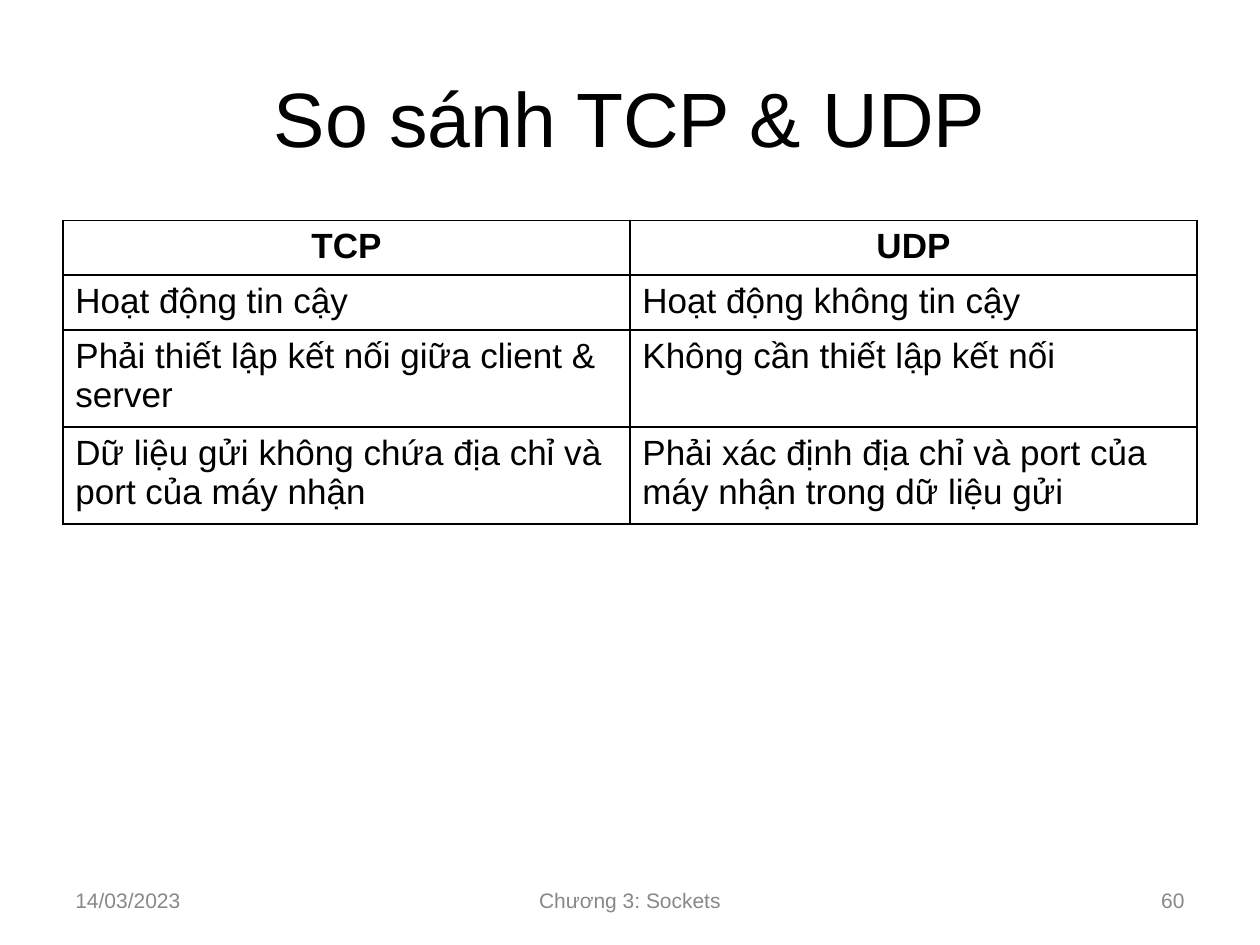
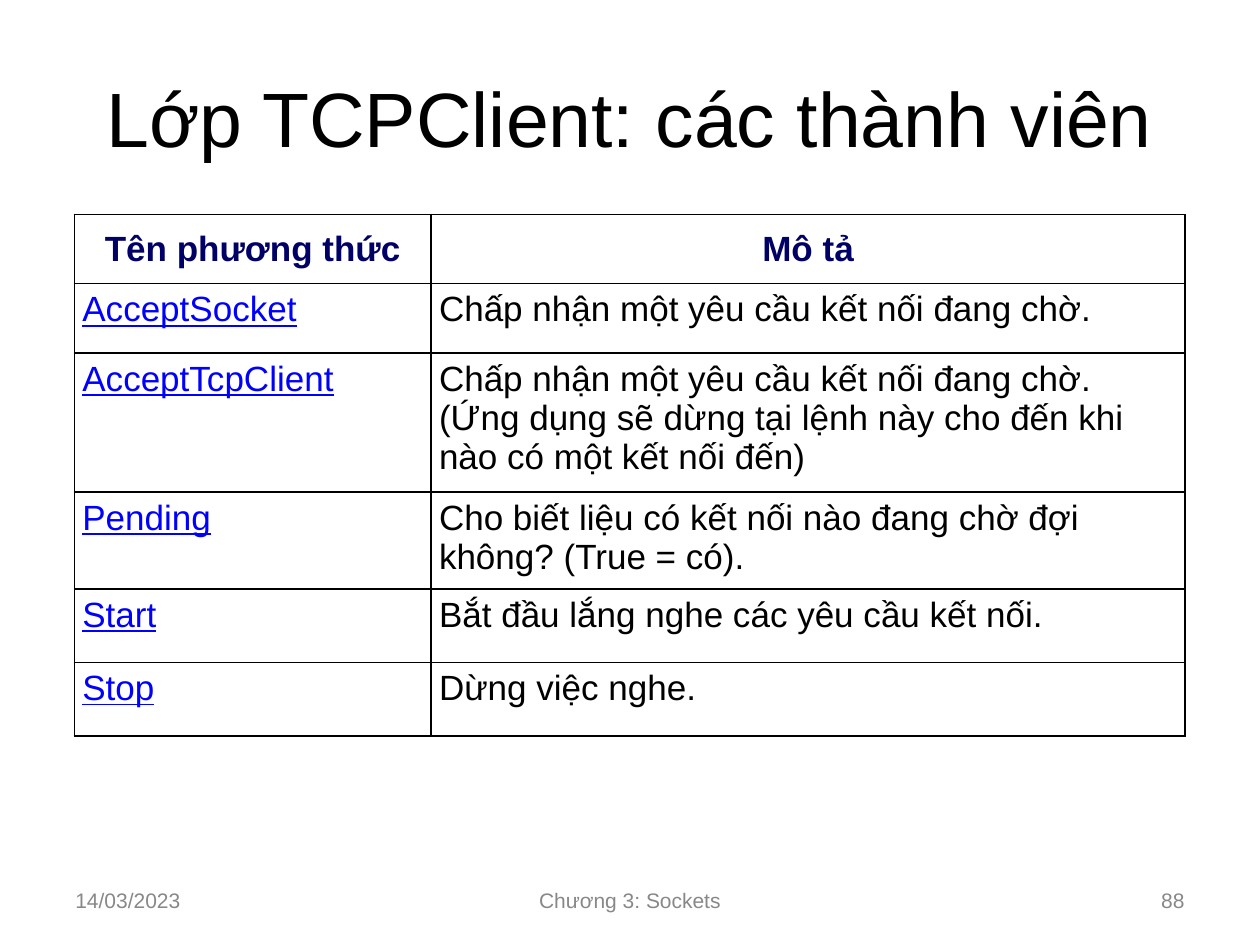
from dataclasses import dataclass

import lxml.etree
import pptx
import pptx.dml.color
import pptx.enum.text
import pptx.oxml.ns
import pptx.util

Cm = pptx.util.Cm
Align = pptx.enum.text.PP_ALIGN
Anchor = pptx.enum.text.MSO_ANCHOR
TITLE_ONLY = 5


@dataclass(frozen=True)
class Theme:
    font: str = "Arial"
    black: str = "000000"
    heading: str = "000066"
    link: str = "0000FF"
    footer: str = "888888"
    title_size: int = 44
    table_size: int = 20
    footer_size: int = 12
    border_width: int = 1


THEME = Theme()
DATE = "14/03/2023"
CHAPTER = "Chương 3: Sockets"

PROTOCOL_ROWS = [
    ("TCP", "UDP"),
    ("Hoạt động tin cậy", "Hoạt động không tin cậy"),
    ("Phải thiết lập kết nối giữa client & server", "Không cần thiết lập kết nối"),
    ("Dữ liệu gửi không chứa địa chỉ và port của máy nhận",
     "Phải xác định địa chỉ và port của máy nhận trong dữ liệu gửi"),
]
METHOD_ROWS = [
    ("Tên phương thức", "Mô tả"),
    ("AcceptSocket", "Chấp nhận một yêu cầu kết nối đang chờ."),
    ("AcceptTcpClient",
     "Chấp nhận một yêu cầu kết nối đang chờ. "
     "(Ứng dụng sẽ dừng tại lệnh này cho đến khi nào có một kết nối đến)"),
    ("Pending", "Cho biết liệu có kết nối nào đang chờ đợi không? (True = có)."),
    ("Start", "Bắt đầu lắng nghe các yêu cầu kết nối."),
    ("Stop", "Dừng việc nghe."),
]


def write_text(text_frame, text, size, color=THEME.black, align=Align.LEFT,
               bold=False, underline=False):
    """Fill a text frame with one formatted paragraph."""
    text_frame.word_wrap = True
    paragraph = text_frame.paragraphs[0]
    paragraph.alignment = align
    run = paragraph.add_run()
    run.text = text
    run.font.name = THEME.font
    run.font.size = pptx.util.Pt(size)
    run.font.bold = bold
    run.font.underline = underline
    run.font.color.rgb = pptx.dml.color.RGBColor.from_string(color)


def add_footer(slide, number):
    """Date, chapter and slide number along the bottom edge."""
    parts = [
        (DATE, 1.27, 5.93, Align.LEFT),
        (CHAPTER, 8.68, 8.04, Align.CENTER),
        (str(number), 18.2, 5.93, Align.RIGHT),
    ]
    for text, left, width, align in parts:
        box = slide.shapes.add_textbox(Cm(left), Cm(17.65), Cm(width), Cm(1.01))
        box.text_frame.vertical_anchor = Anchor.MIDDLE
        write_text(box.text_frame, text, THEME.footer_size, THEME.footer, align)


def add_titled_slide(presentation, title, number):
    slide = presentation.slides.add_slide(presentation.slide_layouts[TITLE_ONLY])
    shape = slide.shapes.title
    shape.left, shape.top, shape.width, shape.height = (
        Cm(1.27), Cm(0.76), Cm(22.86), Cm(3.18))
    shape.text_frame.vertical_anchor = Anchor.MIDDLE
    write_text(shape.text_frame, title, THEME.title_size, align=Align.CENTER)
    add_footer(slide, number)
    return slide


def set_borders(cell):
    """Draw a solid line on all four sides of a cell."""
    qn = pptx.oxml.ns.qn
    properties = cell._tc.get_or_add_tcPr()
    for index, side in enumerate(("lnL", "lnR", "lnT", "lnB")):
        line = lxml.etree.Element(
            qn(f"a:{side}"), w=str(pptx.util.Pt(THEME.border_width)))
        fill = lxml.etree.SubElement(line, qn("a:solidFill"))
        lxml.etree.SubElement(fill, qn("a:srgbClr"), val=THEME.black)
        properties.insert(index, line)


def set_margins(cell, horizontal, vertical):
    cell.margin_left = cell.margin_right = Cm(horizontal)
    cell.margin_top = cell.margin_bottom = Cm(vertical)


def add_grid(slide, rows, left, top, widths, heights, margin,
             header_margins, header_anchor=Anchor.TOP,
             header_color=THEME.black, link_names=False):
    """Bordered table with a bold centred header row."""
    table = slide.shapes.add_table(
        len(rows), len(widths), Cm(left), Cm(top),
        Cm(sum(widths)), Cm(sum(heights))).table
    table.first_row = table.horz_banding = False
    for column, width in zip(table.columns, widths):
        column.width = Cm(width)
    for row, height in zip(table.rows, heights):
        row.height = Cm(height)

    for row_index, texts in enumerate(rows):
        for column_index, text in enumerate(texts):
            cell = table.cell(row_index, column_index)
            cell.fill.background()
            set_borders(cell)
            if row_index == 0:
                set_margins(cell, *header_margins)
                cell.vertical_anchor = header_anchor
                style = dict(color=header_color, align=Align.CENTER, bold=True)
            else:
                set_margins(cell, margin, 0.13)
                is_link = link_names and column_index == 0
                style = dict(color=THEME.link if is_link else THEME.black,
                             underline=is_link)
            write_text(cell.text_frame, text, THEME.table_size, **style)


def main():
    presentation = pptx.Presentation()
    presentation.slide_width, presentation.slide_height = Cm(25.4), Cm(19.05)

    # Protocol comparison
    slide = add_titled_slide(presentation, "So sánh TCP & UDP", 60)
    add_grid(slide, PROTOCOL_ROWS, 1.27, 4.44, [11.43, 11.43],
             [1.04, 1.04, 1.83, 1.83], margin=0.25, header_margins=(0.25, 0.13))

    # Class members
    slide = add_titled_slide(presentation, "Lớp TCPClient: các thành viên", 88)
    add_grid(slide, METHOD_ROWS, 1.5, 4.32, [7.19, 15.2],
             [1.4, 1.4, 2.62, 1.85, 1.48, 1.48], margin=0.16,
             header_margins=(0.18, 0), header_anchor=Anchor.MIDDLE,
             header_color=THEME.heading, link_names=True)

    presentation.save("out.pptx")


if __name__ == "__main__":
    main()
